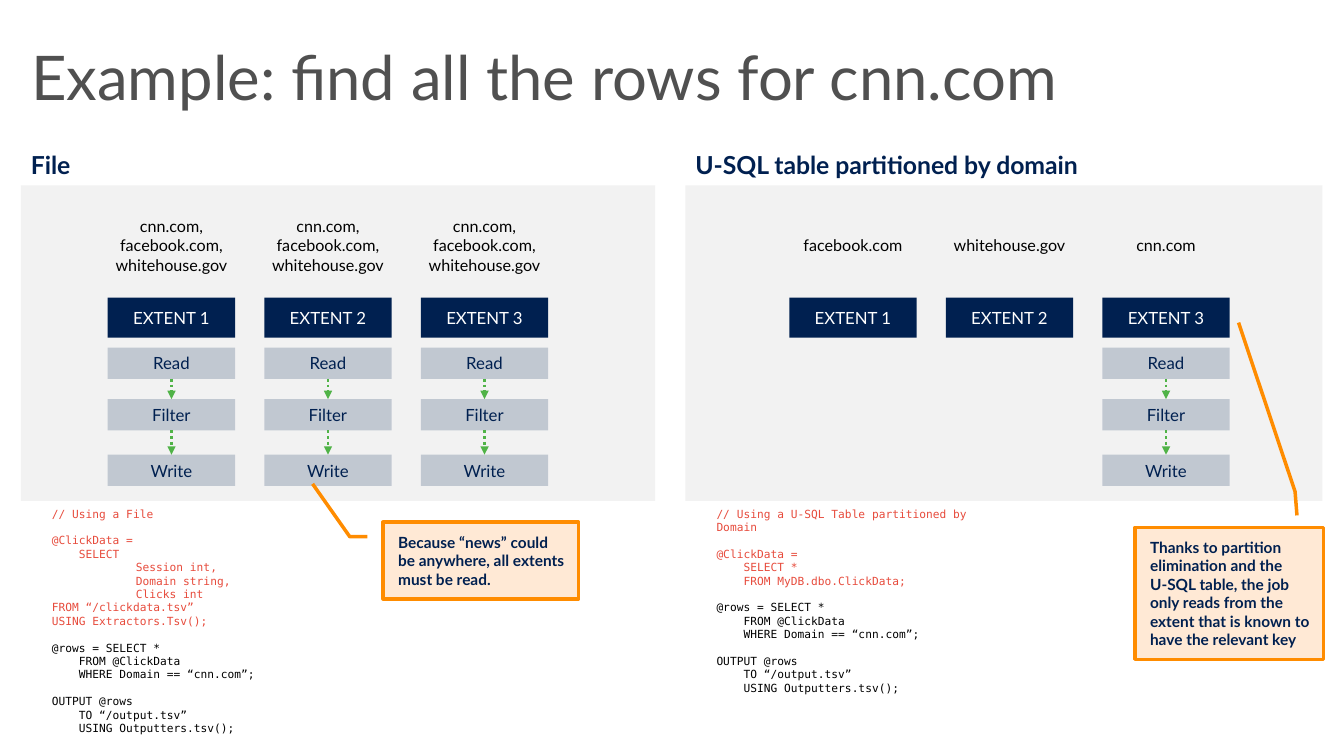
"""Build a slide that compares scanning a file with a partitioned table."""
from lxml.etree import SubElement as Sub
from pptx import Presentation
from pptx.dml.color import RGBColor as Rgb
from pptx.enum.dml import MSO_LINE as Dash
from pptx.enum.shapes import MSO_CONNECTOR as Link, MSO_SHAPE as Form
from pptx.enum.text import MSO_ANCHOR as Anchor, PP_ALIGN as Align
from pptx.oxml.ns import qn
from pptx.util import Pt

HUES = {
    "title": "505050", "navy": "002050", "panel": "F2F2F2", "red": "E74B3C",
    "black": "000000", "white": "FFFFFF", "green": "50B347",
    "peach": "FFE9D5", "orange": "FF8C00",
}
SANS, MONO = "Lato", "DejaVu Sans Mono"
STEP, WIDE = 111.8, 91
TASKS = {"Read": 248.3, "Filter": 285.1, "Write": 324.8}
QUERY = [
    ("black", "@rows = SELECT *\n    FROM @ClickData\v    WHERE Domain == “cnn.com”;"),
    ("black", "OUTPUT @rows\n    TO “/output.tsv”\n    USING Outputters.tsv();"),
]
FILE = [
    ("red", "// Using a File"),
    ("red", "@ClickData =\n    SELECT\n\tSession int,\n\tDomain string,\n\tClicks int\n"
            "FROM “/clickdata.tsv”\nUSING Extractors.Tsv();"),
] + QUERY
TABLE = [
    ("red", "// Using a U-SQL Table partitioned by Domain"),
    ("red", "@ClickData =\n    SELECT *\n    FROM MyDB.dbo.ClickData;"),
] + QUERY


def hue(name):
    """Return the named colour."""
    return Rgb.from_string(HUES[name])


def put(item, **looks):
    """Set each given attribute on the item."""
    for name, value in looks.items():
        setattr(item, name, value)


def ink(part, size, tint, face=SANS, bold=False):
    """Format all runs of a paragraph."""
    for run in part.runs:
        put(run.font, size=Pt(size), name=face, bold=bold)
        run.font.color.rgb = hue(tint)


def write(frame, text, size, tint, align=Align.LEFT, lead=None, bold=False,
          anchor=Anchor.MIDDLE, pads=(7.2, 3.6, 7.2, 3.6)):
    """Fill a text frame with evenly styled paragraphs."""
    left, top, right, base = map(Pt, pads)
    put(frame, text=text, word_wrap=True, vertical_anchor=anchor,
        margin_left=left, margin_top=top, margin_right=right, margin_bottom=base)
    for part in frame.paragraphs:
        put(part, alignment=align, line_spacing=lead)
        ink(part, size, tint, bold=bold)


def block(slide, area, fill, form=Form.RECTANGLE, alpha=None):
    """Add a filled shape with no shadow or outline."""
    shape = slide.shapes.add_shape(form, *map(Pt, area))
    shape.shadow.inherit = False
    shape.fill.solid()
    shape.fill.fore_color.rgb = hue(fill)
    shape.line.fill.background()
    if alpha:
        tint = shape.fill._xPr.find(".//" + qn("a:srgbClr"))
        Sub(tint, qn("a:alpha"), val=str(alpha * 1000))
    return shape


def note(slide, area, text, **looks):
    """Add a styled text box."""
    write(slide.shapes.add_textbox(*map(Pt, area)).text_frame, text, **looks)


def arrow(slide, start, end):
    """Join two boxes with a dotted arrow pointing down."""
    link = slide.shapes.add_connector(Link.STRAIGHT, 0, 0, 0, 0)
    link.begin_connect(start, 2)
    link.end_connect(end, 0)
    put(link.line, width=Pt(2), dash_style=Dash.ROUND_DOT)
    link.line.color.rgb = hue("green")
    Sub(link.line._get_or_add_ln(), qn("a:tailEnd"), type="triangle")
    Sub(link._element.spPr, qn("a:effectLst"))


def chain(slide, left):
    """Add the read, filter and write boxes with their arrows."""
    boxes = []
    for task, top in TASKS.items():
        box = block(slide, (left, top, WIDE, 22.4), "navy", alpha=20)
        write(box.text_frame, task, 12, "navy", Align.CENTER)
        boxes.append(box)
    for start, end in zip(boxes, boxes[1:]):
        arrow(slide, start, end)


def extents(slide, left, sites, active):
    """Add a row of extents, with task chains under the active ones."""
    for num, site in enumerate(sites, 1):
        spot = left + (num - 1) * STEP
        note(slide, (spot, 141.8, WIDE, 67), site, size=11.5, tint="black",
             align=Align.CENTER, pads=(0, 3.6, 0, 3.6))
        box = block(slide, (spot, 212.6, WIDE, 28.6), "navy")
        write(box.text_frame, f"EXTENT {num}", 12, "white", Align.CENTER)
        if num in active:
            chain(slide, spot)


def code(slide, area, parts):
    """Add a code listing with a gap between its parts."""
    frame = slide.shapes.add_textbox(*map(Pt, area)).text_frame
    frame.word_wrap = True
    lines = [(tint, line, row == 0) for tint, text in parts
             for row, line in enumerate(text.split("\n"))]
    for num, (tint, line, head) in enumerate(lines):
        part = frame.add_paragraph() if num else frame.paragraphs[0]
        part.text = line
        if "\t" in line:
            tabs = Sub(part._p.get_or_add_pPr(), qn("a:tabLst"))
            Sub(tabs, qn("a:tab"), pos=str(Pt(60)), algn="l")
        if head and num:
            part.space_before = Pt(9.5)
        ink(part, 8, tint, MONO)


def callout(slide, area, text, bends):
    """Add an orange callout with a bent pointer."""
    shape = block(slide, area, "peach", Form.LINE_CALLOUT_2)
    for num, bend in enumerate(bends):
        shape.adjustments[num] = bend
    shape.line.color.rgb = hue("orange")
    shape.line.width = Pt(2.5)
    write(shape.text_frame, text, 11, "navy", bold=True, pads=(10.8, 7.2, 7.2, 7.2))


def half(slide, left, wide, head):
    """Add a grey panel with a heading above it."""
    block(slide, (left, 132.5, wide, 225.4), "panel")
    note(slide, (left, 109.4, 374, 19.4), head, size=17.7, tint="navy", bold=True,
         lead=0.9, anchor=Anchor.TOP, pads=(7.2, 0, 7.2, 0))


def main():
    """Build and save the slide."""
    deck = Presentation()
    put(deck, slide_width=Pt(960), slide_height=Pt(540))
    slide = deck.slides.add_slide(deck.slide_layouts[5])
    title = slide.shapes.title
    put(title, left=Pt(15), top=Pt(23.8), width=Pt(930), height=Pt(67.7))
    write(title.text_frame, "Example: find all the rows for cnn.com", 44, "title", lead=0.9)

    half(slide, 15, 453, "File")
    half(slide, 489.6, 455, "U-SQL table partitioned by domain")
    extents(slide, 77, ["cnn.com,\nfacebook.com,\nwhitehouse.gov"] * 3, {1, 2, 3})
    extents(slide, 563.8, ["facebook.com", "whitehouse.gov", "cnn.com"], {3})
    code(slide, (30, 358.6, 340.6, 172), FILE)
    code(slide, (504.7, 358.6, 209.5, 133), TABLE)
    callout(slide, (273.6, 373, 139.7, 54.7),
            "Because “news” could be anywhere, all extents must be read.",
            (0.19, -0.08, 0.19, -0.17, -0.5, -0.36))
    callout(slide, (810.7, 376.6, 134.6, 94.3),
            "Thanks to partition elimination and the\vU-SQL table, the job only reads "
            "from the extent that is known to have the relevant key",
            (-0.09, 0.86, -0.27, 0.85, -1.55, 0.55))
    deck.save("out.pptx")


if __name__ == "__main__":
    main()
